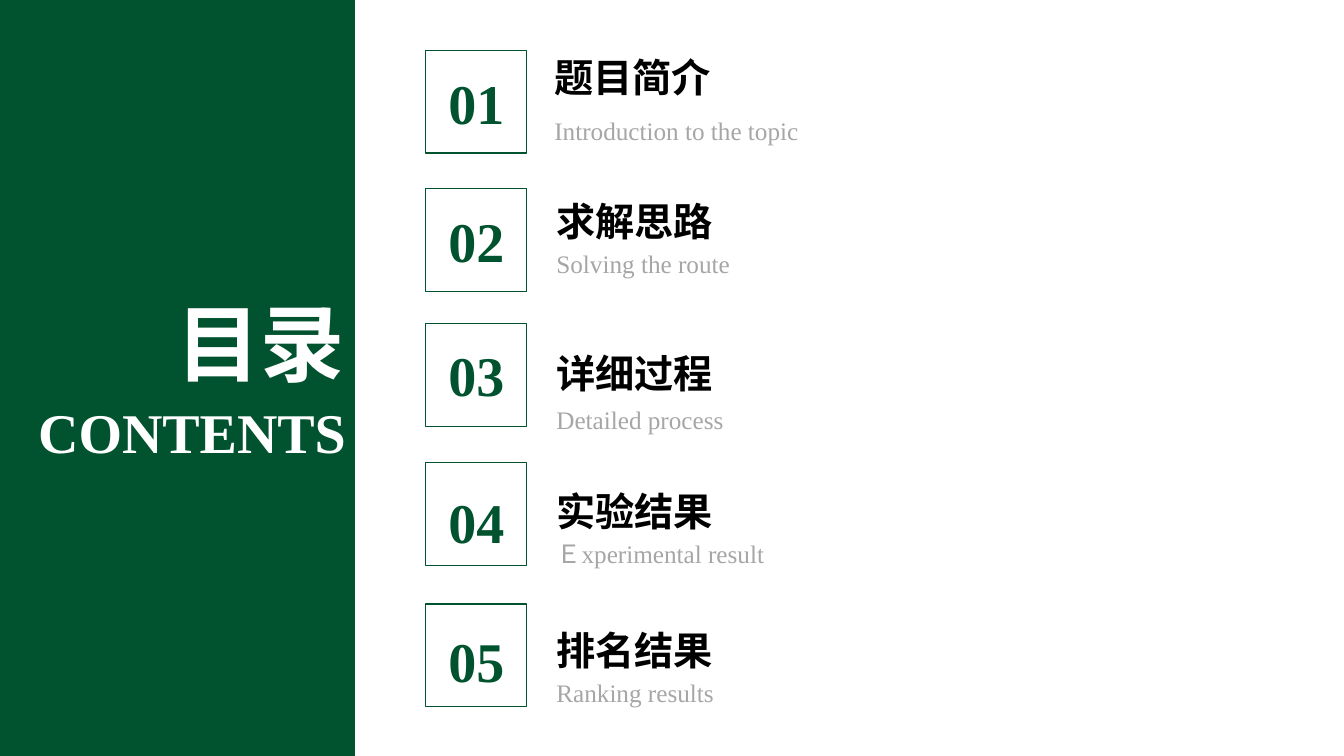
from dataclasses import dataclass

import pptx
import pptx.dml.color
import pptx.enum.shapes
import pptx.enum.text
import pptx.util

PX = 9144  # EMU per px, 100 px to the inch
GREEN, GREY, BLACK, WHITE = "01532F", "A6A6A6", "000000", "FFFFFF"
FONT = "Times New Roman"
ALIGN = pptx.enum.text.PP_ALIGN
ANCHOR = pptx.enum.text.MSO_ANCHOR
FIT = pptx.enum.text.MSO_AUTO_SIZE


@dataclass
class Entry:
    heading: str
    subtitle: str
    square_y: int
    number_y: int
    heading_y: int
    subtitle_y: int
    text_x: int = 542


ENTRIES = [
    Entry("题目简介", "Introduction to the topic", 50, 58, 48, 109, text_x=540),
    Entry("求解思路", "Solving the route", 187, 195, 191, 241),
    Entry("详细过程", "Detailed process", 321, 328, 342, 396),
    Entry("实验结果", "Ｅxperimental result", 459, 473, 479, 529),
    Entry("排名结果", "Ranking results", 599, 611, 616, 667),
]


def px(n: int) -> pptx.util.Emu:
    return pptx.util.Emu(n * PX)


def rgb(color: str) -> pptx.dml.color.RGBColor:
    return pptx.dml.color.RGBColor.from_string(color)


def write(sp, text: str, *, size: int, color: str, bold: bool = False,
          align=ALIGN.LEFT, anchor=ANCHOR.TOP, fit=FIT.SHAPE_TO_FIT_TEXT) -> None:
    tf = sp.text_frame
    tf.word_wrap = True
    tf.auto_size = fit
    tf.vertical_anchor = anchor
    p = tf.paragraphs[0]
    p.alignment = align
    r = p.add_run()
    r.text = text
    r.font.name = FONT
    r.font.size = pptx.util.Pt(size)
    r.font.bold = bold
    r.font.color.rgb = rgb(color)


def add_text(s, x: int, y: int, w: int, h: int, text: str, **fmt) -> None:
    write(s.shapes.add_textbox(px(x), px(y), px(w), px(h)), text, **fmt)


def add_rect(s, x: int, y: int, w: int, h: int, *, fill: str = "", line: str = ""):
    sp = s.shapes.add_shape(pptx.enum.shapes.MSO_SHAPE.RECTANGLE,
                            px(x), px(y), px(w), px(h))
    sp.shadow.inherit = False
    if fill:
        sp.fill.solid()
        sp.fill.fore_color.rgb = rgb(fill)
    else:
        sp.fill.background()
    if line:
        sp.line.color.rgb = rgb(line)
        sp.line.width = pptx.util.Pt(1)
    else:
        sp.line.fill.background()
    return sp


def add_entry(s, number: int, e: Entry) -> None:
    add_rect(s, 422, e.square_y, 100, 102, line=GREEN)
    add_text(s, 422, e.number_y, 101, 87, f"{number:02d}", size=40, color=GREEN,
             bold=True, align=ALIGN.CENTER, anchor=ANCHOR.MIDDLE, fit=FIT.NONE)
    add_text(s, e.text_x, e.heading_y, 700, 57, e.heading,
             size=28, color=BLACK, bold=True)
    add_text(s, e.text_x, e.subtitle_y, 700, 40, e.subtitle, size=18, color=GREY)


def main() -> None:
    prs = pptx.Presentation()
    prs.slide_width, prs.slide_height = px(1333), px(750)
    s = prs.slides.add_slide(prs.slide_layouts[5])

    # Green side panel, behind the title
    panel = add_rect(s, 0, 0, 352, 750, fill=GREEN)
    title = s.shapes.title
    title.element.addprevious(panel.element)

    # Title and its English line
    title.left, title.top, title.width, title.height = px(98), px(284), px(254), px(111)
    write(title, "目录", size=60, color=WHITE, bold=True, align=ALIGN.RIGHT)
    add_text(s, 0, 389, 353, 77, "CONTENTS",
             size=40, color=WHITE, bold=True, align=ALIGN.RIGHT)

    # Numbered entries
    for number, e in enumerate(ENTRIES, start=1):
        add_entry(s, number, e)

    prs.save("out.pptx")


if __name__ == "__main__":
    main()
